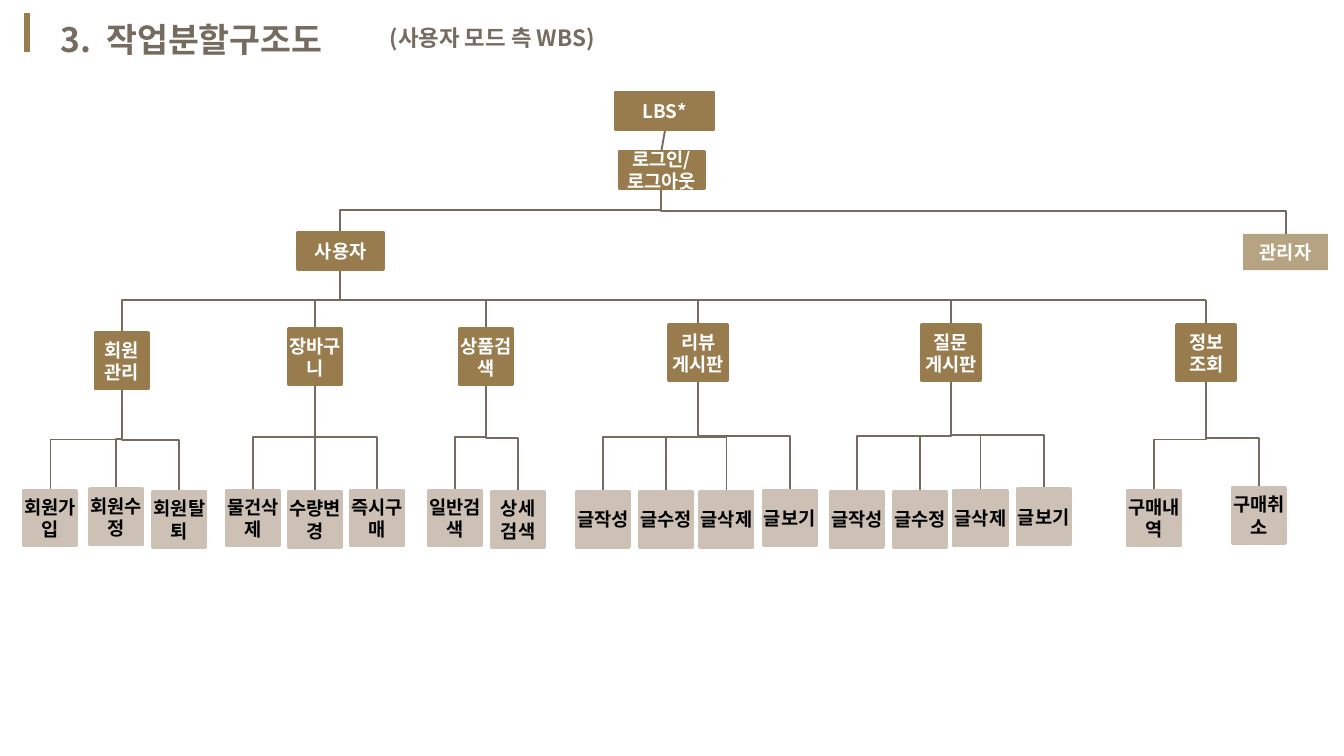
from dataclasses import dataclass
from pptx import Presentation
from pptx import util as u
from pptx.dml import color as c
from pptx.enum import shapes as s, text as t
from pptx.oxml import ns, xmlchemy as x

PX = 9144


@dataclass(frozen=True)
class Theme:
    brown: str = "987C4D"
    sand: str = "CDC1B6"
    ink: str = "756B5F"
    white: str = "FFFFFF"
    black: str = "000000"
    font: str = "Noto Sans CJK KR"
    title: int = 18
    sub: int = 12
    body: int = 10


T = Theme()


def px(n):
    return u.Emu(round(n * PX))


def rgb(code):
    return c.RGBColor.from_string(code)


def style(frame, size, color, align=None):
    for para in frame.paragraphs:
        para.alignment = align
        font = para.font
        font.size, font.bold, font.name = u.Pt(size), True, T.font
        font.color.rgb = rgb(color)
        east = x.OxmlElement("a:ea")
        east.set("typeface", T.font)
        para._p.pPr.find(ns.qn("a:defRPr")).append(east)


def label(slide, left, top, wide, high, words, size):
    frame = slide.shapes.add_textbox(px(left), px(top), px(wide), px(high)).text_frame
    frame.word_wrap = True
    frame.text = words
    style(frame, size, T.ink)


def node(slide, left, top, wide, high, words, fill=T.brown, color=T.white, alpha=None):
    box = slide.shapes.add_shape(s.MSO_SHAPE.RECTANGLE, px(left), px(top), px(wide), px(high))
    box.shadow.inherit = False
    box.fill.solid()
    box.fill.fore_color.rgb = rgb(fill)
    if alpha:
        mark = x.OxmlElement("a:alpha")
        mark.set("val", str(alpha * 1000))
        box._element.spPr.find(ns.qn("a:solidFill"))[0].append(mark)
        box.line.fill.background()
    else:
        box.line.color.rgb = rgb(fill)
        box.line.width = u.Pt(2)
    frame = box.text_frame
    frame.margin_left = frame.margin_right = frame.margin_top = frame.margin_bottom = 0
    frame.vertical_anchor = t.MSO_ANCHOR.MIDDLE
    frame.word_wrap = True
    frame.text = words
    style(frame, T.body, color, t.PP_ALIGN.CENTER)


def line(slide, x1, y1, x2, y2, color=T.ink, width=1, kind=s.MSO_CONNECTOR.STRAIGHT):
    link = slide.shapes.add_connector(kind, px(x1), px(y1), px(x2), px(y2))
    link.line.color.rgb = rgb(color)
    link.line.width = u.Pt(width)
    link._element.spPr.append(x.OxmlElement("a:effectLst"))
    return link


def elbow(slide, x1, y1, x2, y2):
    if x1 == x2:
        return line(slide, x1, y1, x2, y2)
    midx, midy = (x1 + x2) / 2, (y1 + y2) / 2
    half, rise = (y2 - y1) / 2, abs(x2 - x1) / 2
    side = 1 if x2 > x1 else -1
    link = line(slide, midx + side * half, midy - rise, midx - side * half, midy + rise,
                kind=s.MSO_CONNECTOR.ELBOW)
    link._element.spPr.xfrm.set("rot", "16200000" if side > 0 else "5400000")
    return link


def header(slide, left, top):
    line(slide, left, top, left, top + 29, T.brown, 3)
    label(slide, left + 15, top - 1, 321, 40, "3.  작업분할구조도", T.title)
    label(slide, left + 260, top + 3, 175, 30, "(사용자 모드 측 WBS)", T.sub)


def crown(slide, left, top):
    mid, login, base = left + 270, top + 44, top + 71
    line(slide, mid + 3, top + 27, mid, login)
    elbow(slide, mid, base, left + 31, top + 104)
    elbow(slide, mid, base, left + 735, top + 105)
    node(slide, left + 236, top, 73, 27, "LBS*")
    node(slide, left + 239, login, 63, 27, "로그인/\n로그아웃")
    node(slide, left, top + 104, 63, 27, "사용자")
    node(slide, left + 703, top + 105, 63, 27, "관리자", alpha=70)


def branch(slide, left, top, head, stem, kids):
    words, dx, dy, wide = head
    mid = left + dx + wide / 2
    if left > 100:
        line(slide, mid, top, mid, top + stem)
    for _, kx, ky in kids:
        elbow(slide, mid, top + stem, left + kx + 19.5, top + ky)
    node(slide, left + dx, top + dy, wide, 41, words)
    for name, kx, ky in kids:
        node(slide, left + kx, top + ky, 39, 41, name, T.sand, T.black)


GROUPS = [
    (18, ("회원\n관리", 53, 25, 39), 66,
     [("회원가입", 0, 142), ("회원수정", 49, 141), ("회원탈퇴", 96, 143)]),
    (169, ("장바구니", 46, 22, 39), 63,
     [("물건삭제", 0, 142), ("수량변경", 46, 143), ("즉시구매", 92, 142)]),
    (319, ("상품검색", 23, 22, 39), 63,
     [("일반검색", 0, 142), ("상세\n검색", 47, 143)]),
    (429, ("리뷰\n게시판", 69, 19, 43), 61,
     [("글작성", 0, 143), ("글수정", 47, 143), ("글삭제", 92, 143), ("글보기", 139, 142)]),
    (618, ("질문\n게시판", 68, 19, 43), 60,
     [("글작성", 0, 143), ("글수정", 47, 143), ("글삭제", 92, 142), ("글보기", 139, 141)]),
    (839, ("정보\n조회", 37, 19, 43), 66,
     [("구매내역", 0, 142), ("구매취소", 78, 140)]),
]


def tree(slide, left, top):
    elbow(slide, left + 235, top - 24, left + 72.5, top + 25)
    line(slide, left + 235, top, left + 879.5, top)
    for dx, head, stem, kids in GROUPS:
        branch(slide, left + dx - 18, top, head, stem, kids)


def main():
    deck = Presentation()
    deck.slide_width = px(1000)
    deck.slide_height = deck.slide_width * 9 // 16
    slide = deck.slides.add_slide(deck.slide_layouts[6])
    header(slide, 20, 10)
    tree(slide, 18, 223)
    crown(slide, 222, 69)
    deck.save("out.pptx")


if __name__ == "__main__":
    main()
